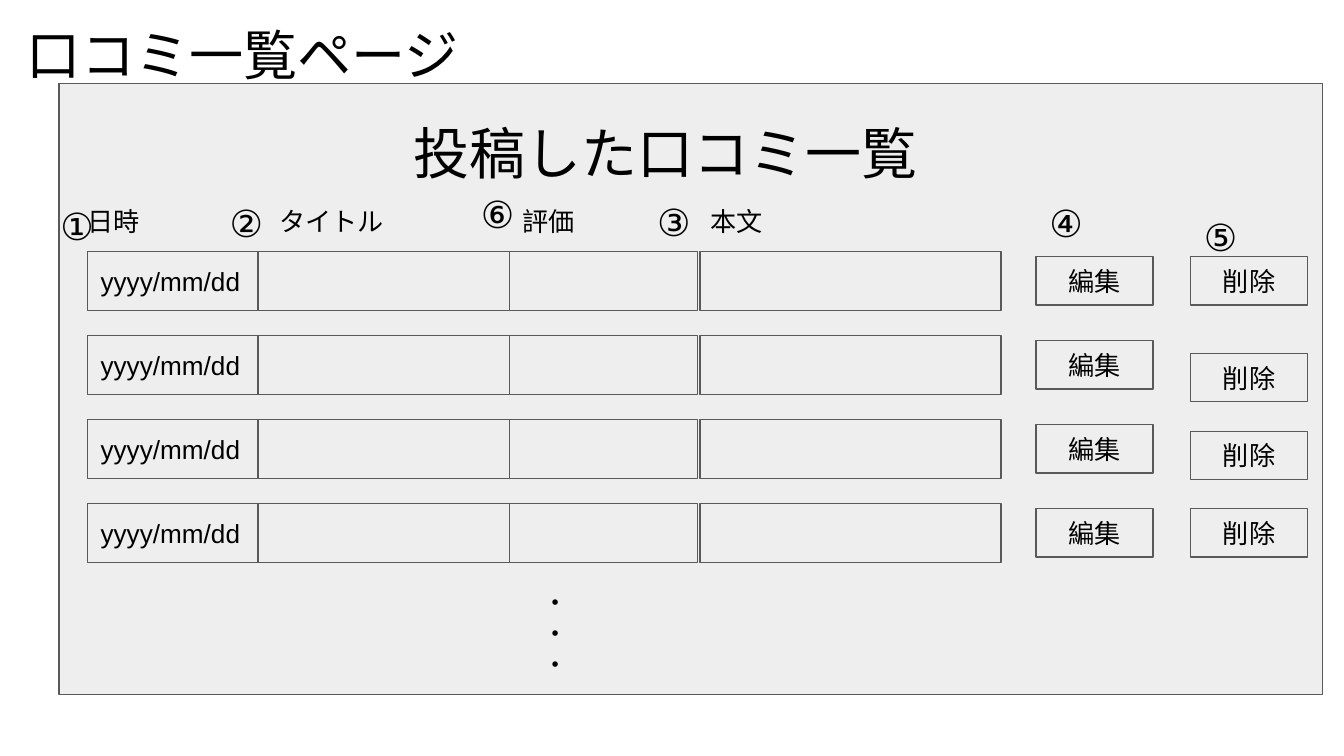
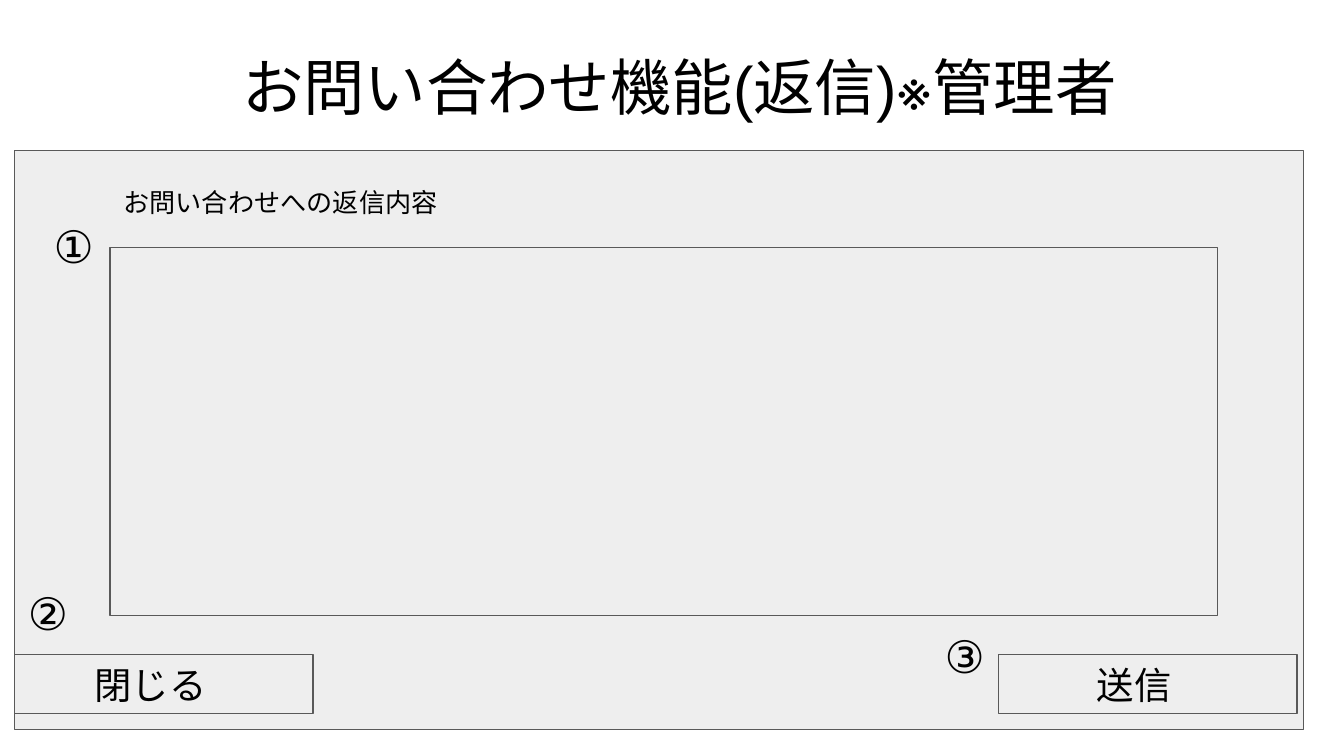
from pptx import Presentation
from pptx import util as u
from pptx.dml.color import RGBColor
from pptx.enum import shapes, text

FONT = "Arial"
INK, PANEL, BORDER = "000000", "EEEEEE", "595959"
COLUMNS, ROWS = 100, 56.25  # square grid over the slide
LEFT, CENTER = text.PP_ALIGN.LEFT, text.PP_ALIGN.CENTER
TOP, MIDDLE, BOTTOM = (text.MSO_ANCHOR.TOP, text.MSO_ANCHOR.MIDDLE,
                       text.MSO_ANCHOR.BOTTOM)


def color(value):
    return RGBColor.from_string(value)


class Wireframe:
    """Shared style and the slide being drawn; lengths are grid units."""

    def __init__(self):
        self.deck = Presentation()
        self.deck.slide_width = u.Inches(10)
        self.deck.slide_height = u.Inches(5.625)
        self.slide = None

    def place(self, left, top, width, height):
        across = self.deck.slide_width / COLUMNS
        down = self.deck.slide_height / ROWS
        return [round(n) for n in (left * across, top * down,
                                   width * across, height * down)]

    def set_words(self, shape, words, size, align=LEFT, anchor=TOP,
                  right_inset=1):
        frame = shape.text_frame
        frame.text = words
        frame.word_wrap = True
        frame.auto_size = text.MSO_AUTO_SIZE.NONE
        frame.vertical_anchor = anchor
        inset = u.Inches(0.1)
        frame.margin_left = frame.margin_top = frame.margin_bottom = inset
        frame.margin_right = self.place(0, 0, right_inset, 0)[2]
        paragraph = frame.paragraphs[0]
        paragraph.alignment = align
        for run in paragraph.runs:
            run.font.name = FONT
            run.font.size = u.Pt(size)
            run.font.color.rgb = color(INK)

    def page(self, title, box, size, align=LEFT, anchor=TOP):
        self.slide = self.deck.slides.add_slide(self.deck.slide_layouts[5])
        heading = self.slide.shapes.title
        heading.left, heading.top, heading.width, heading.height = self.place(*box)
        self.set_words(heading, title, size, align, anchor)

    def box(self, left, top, width, height, words="", size=14, align=CENTER,
            right_inset=1):
        shape = self.slide.shapes.add_shape(
            shapes.MSO_SHAPE.RECTANGLE, *self.place(left, top, width, height))
        shape.shadow.inherit = False
        shape.fill.solid()
        shape.fill.fore_color.rgb = color(PANEL)
        shape.line.color.rgb = color(BORDER)
        shape.line.width = u.Pt(0.75)
        if words:
            self.set_words(shape, words, size, align, MIDDLE, right_inset)

    def label(self, left, top, width, height, words, size=14):
        shape = self.slide.shapes.add_textbox(
            *self.place(left, top, width, height))
        self.set_words(shape, words, size)


def review_list(wireframe):
    wireframe.page("口コミ一覧ページ", (1, 0.6, 88.9, 6.4), 29)
    wireframe.box(4.4, 6.2, 94, 45.5)
    wireframe.label(29.8, 7.8, 47.9, 4.6, "投稿した口コミ一覧", 30)

    # Column headings
    for left, heading in ((5.5, "日時"), (19.8, "タイトル"),
                          (37.9, "評価"), (51.9, "本文")):
        wireframe.label(left, 14.3, 10.5, 3.6, heading)

    # Reviews, with an edit and a delete button each
    first_row, row_step = 18.7, 6.25
    fields = ((6.5, 12.7, "yyyy/mm/dd"), (19.2, 18.7, ""),
              (37.9, 14, ""), (52.1, 22.4, ""))
    delete_offsets = (0.4, 1.35, 0.9, 0.4)
    for row, delete_offset in enumerate(delete_offsets):
        top = first_row + row * row_step
        for left, width, value in fields:
            wireframe.box(left, top, width, 4.4, value, align=LEFT)
        wireframe.box(77.1, top + 0.4, 8.7, 3.6, "編集")
        wireframe.box(88.6, top + delete_offset, 8.7, 3.6, "削除")
    wireframe.label(39.4, 42.6, 4.6, 6.4, "・・・")

    # Item numbers
    for left, top, width, number in (
            (3.5, 14.1, 3.1, "①"), (16.1, 13.9, 5.8, "②"),
            (47.9, 13.8, 6.9, "③"), (77.1, 13.9, 4.6, "④"),
            (88.6, 14.9, 5.8, "⑤"), (34.8, 13.2, 8.7, "⑥")):
        wireframe.label(left, top, width, 4.4, number, 20)


def inquiry_reply(wireframe):
    wireframe.page("お問い合わせ機能(返信)※管理者", (1.1, 1.4, 98.9, 8.7),
                   32.9, CENTER, BOTTOM)
    wireframe.box(1.1, 11.2, 95.9, 43.1)

    # Reply field
    wireframe.label(8.2, 12.9, 37.8, 2.4, "お問い合わせへの返信内容")
    wireframe.box(8.2, 18.4, 82.4, 27.4)

    # Buttons
    for left, action in ((74.3, "送信"), (1.1, "閉じる")):
        wireframe.box(left, 48.7, 22.2, 4.4, action, 20, right_inset=3)

    # Item numbers
    for left, top, width, number in ((3, 15.3, 4.1, "①"),
                                     (1.1, 42.6, 4.9, "②"),
                                     (69.3, 45.8, 4.9, "③")):
        wireframe.label(left, top, width, 6.1, number, 24)


def main():
    wireframe = Wireframe()
    review_list(wireframe)
    inquiry_reply(wireframe)
    wireframe.deck.save("out.pptx")


if __name__ == "__main__":
    main()
